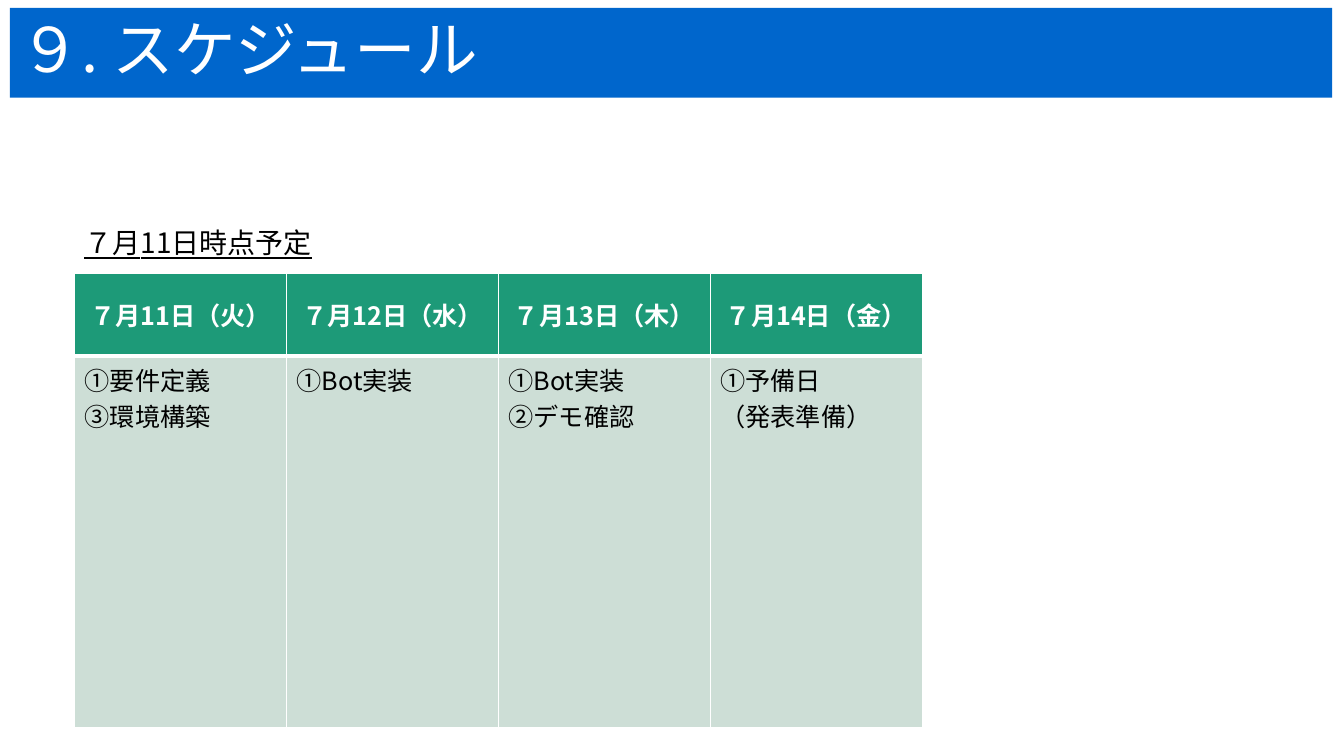
from pptx import Presentation
from pptx.dml.color import RGBColor
from pptx.enum.shapes import MSO_SHAPE
from pptx.enum.text import MSO_ANCHOR as ANCHOR, PP_ALIGN as ALIGN
from pptx.oxml.ns import qn
from pptx.util import Cm, Pt
from lxml.etree import SubElement

FONT = "Noto Sans CJK JP"
BLUE, GREEN, PALE = "0066CC", "1D9A78", "CDDED6"
WHITE, BLACK = "FFFFFF", "000000"
HEADER_H = 1.45

SCHEDULE = [
    ("７月11日（火）", ["➀要件定義", "➂環境構築"]),
    ("７月12日（水）", ["➀Bot実装"]),
    ("７月13日（木）", ["➀Bot実装", "➁デモ確認"]),
    ("７月14日（金）", ["➀予備日", "（発表準備）"]),
]


def rgb(hex_color):
    return RGBColor.from_string(hex_color)


def write(tf, lines, size, color, bold=False, align=ALIGN.LEFT):
    """Fill a text frame with one paragraph per line."""
    tf.word_wrap = True
    tf.text = "\n".join(lines)
    for p in tf.paragraphs:
        p.alignment = align
        p.font.name = FONT
        p.font.size = Pt(size)
        p.font.bold = bold
        p.font.color.rgb = rgb(color)
        # East Asian typeface
        defaults = p._p.pPr.find(qn("a:defRPr"))
        SubElement(defaults, qn("a:ea"), typeface=FONT)


def set_borders(cell, bottom):
    """White cell borders; only the bottom width varies."""
    tcPr = cell._tc.get_or_add_tcPr()
    for side, width in (("L", 1), ("R", 1), ("T", 1), ("B", bottom)):
        ln = SubElement(tcPr, qn(f"a:ln{side}"), w=str(Pt(width)))
        fill = SubElement(ln, qn("a:solidFill"))
        SubElement(fill, qn("a:srgbClr"), val=WHITE)


def add_title(slide, x, y, w, h):
    s = slide.shapes.add_shape(MSO_SHAPE.RECTANGLE, Cm(x), Cm(y), Cm(w), Cm(h))
    s.shadow.inherit = False
    s.fill.solid()
    s.fill.fore_color.rgb = rgb(BLUE)
    s.line.fill.background()
    tf = s.text_frame
    tf.vertical_anchor = ANCHOR.MIDDLE
    write(tf, ["９. スケジュール"], 44, WHITE)
    tf.paragraphs[0].line_spacing = 0.9


def add_caption(slide, x, y, w, h):
    tf = slide.shapes.add_textbox(Cm(x), Cm(y), Cm(w), Cm(h)).text_frame
    write(tf, ["７月11日時点予定"], 20, BLACK)
    p = tf.paragraphs[0]
    p.font.underline = True
    p.line_spacing = 0.9
    p.space_before = Pt(10)


def add_schedule(slide, x, y, w, h):
    table = slide.shapes.add_table(
        2, len(SCHEDULE), Cm(x), Cm(y), Cm(w), Cm(h)).table
    table.rows[0].height = Cm(HEADER_H)
    table.rows[1].height = Cm(h - HEADER_H)
    for col, (day, tasks) in enumerate(SCHEDULE):
        table.columns[col].width = Cm(w / len(SCHEDULE))
        head, body = table.cell(0, col), table.cell(1, col)
        for cell, color, bottom in ((head, GREEN, 3), (body, PALE, 1)):
            set_borders(cell, bottom)
            cell.fill.solid()
            cell.fill.fore_color.rgb = rgb(color)
        head.vertical_anchor = ANCHOR.MIDDLE
        write(head.text_frame, [day], 18, WHITE, True, ALIGN.CENTER)
        write(body.text_frame, tasks, 18, BLACK)


def main():
    prs = Presentation()
    prs.slide_width, prs.slide_height = Cm(33.87), Cm(19.05)
    slide = prs.slides.add_slide(prs.slide_layouts[6])
    add_title(slide, 0.25, 0.2, 33.32, 2.26)
    add_schedule(slide, 1.88, 6.88, 21.36, 10.82)
    add_caption(slide, 1.88, 5.66, 13.61, 1.24)
    prs.save("out.pptx")


if __name__ == "__main__":
    main()
